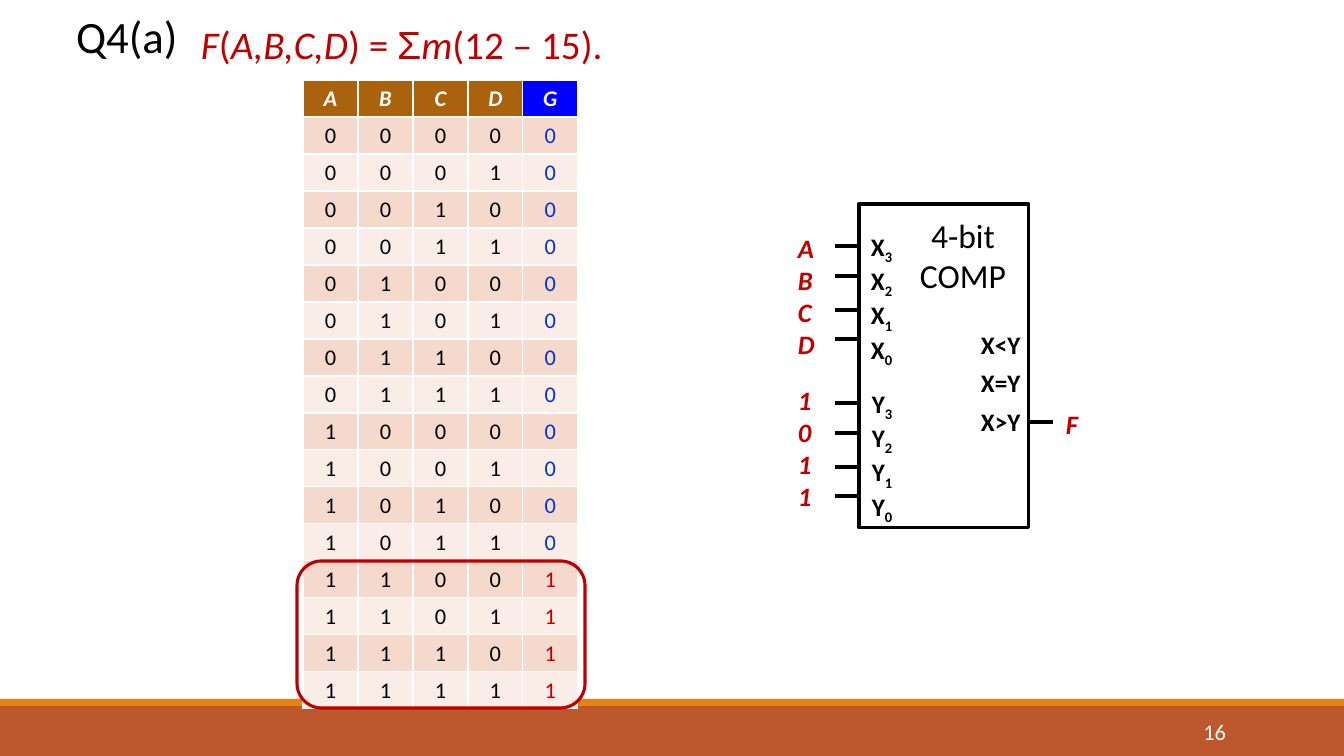
from itertools import product

from lxml import etree
from pptx import Presentation
from pptx.dml.color import RGBColor
from pptx.enum.shapes import MSO_CONNECTOR, MSO_SHAPE
from pptx.enum.text import MSO_ANCHOR, MSO_AUTO_SIZE, PP_ALIGN
from pptx.oxml.ns import qn
from pptx.util import Pt

PX = 9071
LEFT, MID, RIGHT = PP_ALIGN.LEFT, PP_ALIGN.CENTER, PP_ALIGN.RIGHT
TOP, CENTER = MSO_ANCHOR.TOP, MSO_ANCHOR.MIDDLE
RECT, ROUND = MSO_SHAPE.RECTANGLE, MSO_SHAPE.ROUNDED_RECTANGLE
LINE = MSO_CONNECTOR.STRAIGHT
FIXED = MSO_AUTO_SIZE.NONE
BLACK, WHITE, RED, BLUE = "000000", "FFFFFF", "C00000", "0033CC"


def px(*nums):
    return [num * PX for num in nums]


def rgb(code):
    return RGBColor.from_string(code)


def style(run, size, color, bold=False, italic=False, face="Calibri"):
    font = run.font
    font.name, font.size = face, Pt(size)
    font.bold, font.italic = bold, italic
    font.color.rgb = rgb(color)


def add_text(slide, area, text, size, color, bold=False, italic=False,
             align=LEFT, after=0, anchor=TOP):
    frame = slide.shapes.add_textbox(*px(*area)).text_frame
    frame.word_wrap = True
    frame.vertical_anchor = anchor
    frame.text = text
    for para in frame.paragraphs:
        para.alignment = align
        para.space_after = Pt(after)
        for run in para.runs:
            style(run, size, color, bold, italic)
    return frame


def add_ports(slide, area, name):
    frame = add_text(slide, area, "\n".join(name * 4), 18, BLACK, True)
    for para, digit in zip(frame.paragraphs, "3210"):
        run = para.add_run()
        run.text = digit
        style(run, 18, BLACK, True)
        run.font._element.set("baseline", "-25000")


def add_box(slide, kind, area, fill=None, line=None):
    box = slide.shapes.add_shape(kind, *px(*area))
    box.shadow.inherit = False
    if fill:
        box.fill.solid()
        box.fill.fore_color.rgb = rgb(fill)
    else:
        box.fill.background()
    if line:
        box.line.color.rgb = rgb(line)
        box.line.width = Pt(2.25)
    else:
        box.line.fill.background()


def add_pin(slide, x, y):
    pin = slide.shapes.add_connector(LINE, *px(x, y, x + 24, y))
    pin.line.color.rgb = rgb(BLACK)
    pin.line.width = Pt(2.25)
    etree.SubElement(pin._element.spPr, qn("a:effectLst"))


def add_title(slide, area, text):
    title = slide.shapes.title
    title.left, title.top, title.width, title.height = px(*area)
    frame = title.text_frame
    frame.text = text
    frame.auto_size = FIXED
    frame.vertical_anchor = TOP
    para = frame.paragraphs[0]
    para.alignment = LEFT
    para.line_spacing = 0.9
    style(para.runs[0], 32, BLACK)


def add_formula(slide, area):
    para = add_text(slide, area, "", 28, RED).paragraphs[0]
    for part in ("F", "(", "A,B,C,D", ") = ", "Σ", "m", "(12 – 15)."):
        run = para.add_run()
        run.text = part
        style(run, 28, RED, italic=part[0].isalpha() and part != "Σ",
              face="Arial" if part == "Σ" else "Calibri")


def set_cell(cell, text, fill, color, head):
    cell.fill.solid()
    cell.fill.fore_color.rgb = rgb(fill)
    cell.margin_top, cell.margin_bottom = px(5, 4)
    cell.text = text
    para = cell.text_frame.paragraphs[0]
    para.alignment = MID
    style(para.runs[0], 16, color, head, head)


def add_truth(slide, x, y):
    rows = [bits + ("1" if bits[:2] == ("1", "1") else "0",)
            for bits in product("01", repeat=4)]
    count = len(rows) + 1
    area = px(x, y, 5 * 55, count * 37)
    table = slide.shapes.add_table(count, 5, *area).table
    for col in table.columns:
        col.width = 55 * PX
    for row in table.rows:
        row.height = 37 * PX
    for c, name in enumerate("ABCDG"):
        fill = "0000FF" if name == "G" else "AB620D"
        set_cell(table.cell(0, c), name, fill, WHITE, True)
    for r, bits in enumerate(rows, 1):
        fill = "F5D9CC" if r % 2 else "FAEDE7"
        for c, bit in enumerate(bits):
            color = BLACK if c < 4 else RED if bit == "1" else BLUE
            set_cell(table.cell(r, c), bit, fill, color, False)


def add_comp(slide):
    add_box(slide, RECT, (859, 204, 170, 324), line=BLACK)
    add_ports(slide, (861, 226, 57, 152), "X")
    add_ports(slide, (862, 383, 57, 132), "Y")
    add_text(slide, (886, 210, 154, 92), "4-bit\nCOMP", 24, BLACK, align=MID)
    add_text(slide, (971, 324, 70, 119), "X<Y\nX=Y\nX>Y", 18, BLACK, True,
             after=6)
    for top in (246, 403):
        for step in (0, 30, 64, 93):
            add_pin(slide, 835, top + step)
    add_pin(slide, 1029, 422)
    for area, text in (((788, 227, 35, 139), "A\nB\nC\nD"),
                       ((788, 379, 35, 139), "1\n0\n1\n1"),
                       ((1056, 403, 35, 42), "F")):
        add_text(slide, area, text, 19, RED, True, True)


def main():
    deck = Presentation()
    deck.slide_width, deck.slide_height = px(1344, 756)
    slide = deck.slides.add_slide(deck.slide_layouts[5])
    add_box(slide, RECT, (0, 706, 1344, 50), fill="BD582C")
    add_box(slide, RECT, (0, 699, 1344, 7), fill="E48312")
    add_comp(slide)
    add_formula(slide, (191, 15, 447, 57))
    add_title(slide, (66, 10, 134, 71), "Q4(a)")
    add_text(slide, (1092, 712, 144, 40), "16", 16, WHITE, align=RIGHT,
             anchor=CENTER)
    add_truth(slide, 303, 80)
    add_box(slide, ROUND, (297, 561, 288, 147), line=RED)
    deck.save("out.pptx")


if __name__ == "__main__":
    main()
